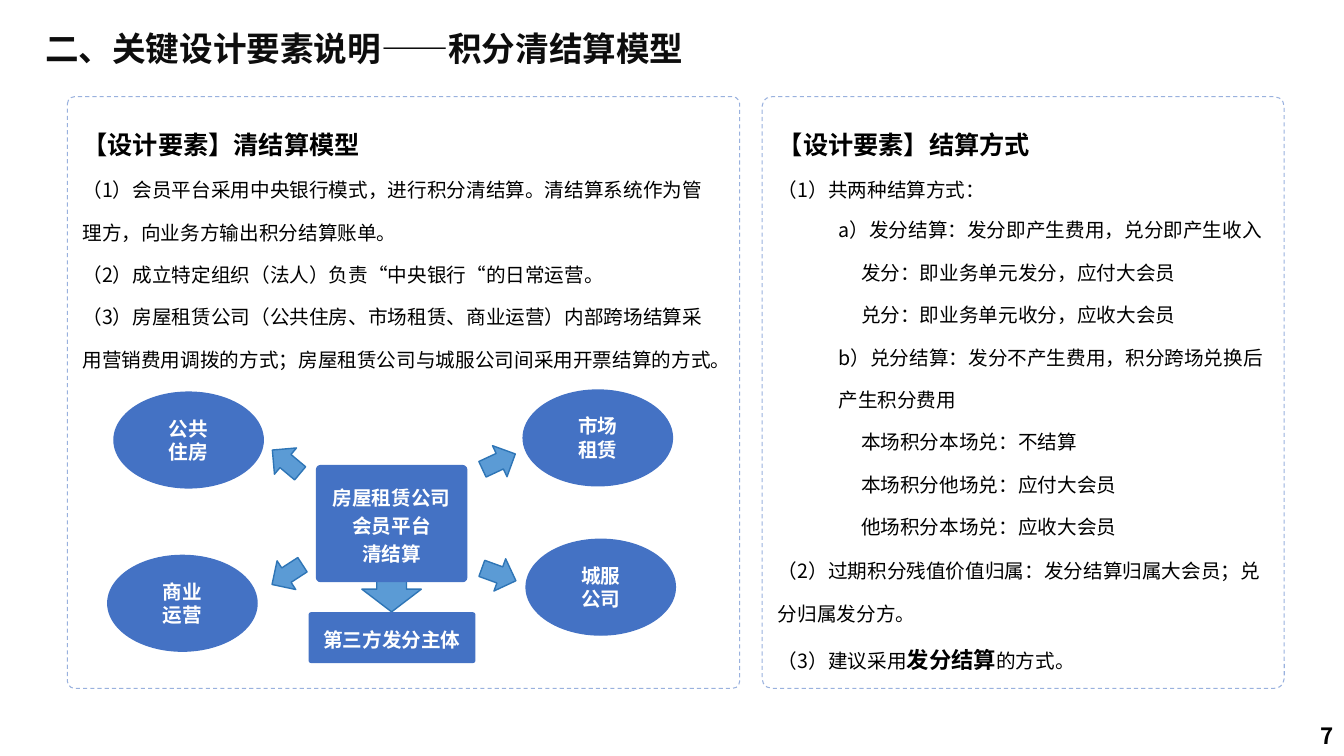
from dataclasses import dataclass

import lxml.etree
import pptx
import pptx.dml.color
import pptx.enum.dml
import pptx.enum.shapes
import pptx.enum.text
import pptx.oxml.ns
import pptx.util

Pt = pptx.util.Pt
RGBColor = pptx.dml.color.RGBColor
KIND = pptx.enum.shapes.MSO_SHAPE
ALIGN = pptx.enum.text.PP_ALIGN
ANCHOR = pptx.enum.text.MSO_ANCHOR

FONT = "Noto Sans CJK SC"
BLACK = RGBColor(0x00, 0x00, 0x00)
DARK = RGBColor(0x0D, 0x0D, 0x0D)
WHITE = RGBColor(0xFF, 0xFF, 0xFF)
BLUE = RGBColor(0x44, 0x72, 0xC4)
SKY = RGBColor(0x5B, 0x9B, 0xD5)
NAVY = RGBColor(0x2E, 0x75, 0xB6)
PALE = RGBColor(0x99, 0xB1, 0xDE)


@dataclass
class Line:
    """One paragraph; a part between stars is strong."""
    text: str
    size: float = 14
    bold: bool = False
    pitch: float = 1.8
    before: float = 0
    indent: float = 0


@dataclass
class Box:
    left: float
    top: float
    width: float
    height: float


@dataclass
class Node:
    kind: int
    box: Box
    lines: list[str]
    pitch: float = 1.0


@dataclass
class Arrow:
    box: Box
    turn: float


def head(text: str) -> Line:
    return Line(text, 18, True, 1.5)


def sub(text: str) -> Line:
    return Line(text, indent=16.2)


def oval(left: float, top: float, *lines: str) -> Node:
    return Node(KIND.OVAL, Box(left, top, 106.6, 68.4), list(lines))


def small(left: float, top: float, turn: float) -> Arrow:
    return Arrow(Box(left, top, 25.9, 24.5), turn)


def write(frame, lines: list[Line], color: RGBColor, align: int) -> None:
    frame.word_wrap = True
    frame.text = "\n".join(line.text.replace("*", "") for line in lines)
    for para, line in zip(frame.paragraphs, lines):
        para.alignment = align
        para.line_spacing = line.pitch
        if line.before:
            para.space_before = Pt(line.before)
        if line.indent:
            para._p.get_or_add_pPr().set("marL", str(Pt(line.indent)))
        parts = line.text.split("*")
        para.runs[0].text = parts[0]
        for part in parts[1:]:
            para.add_run().text = part
        for i, run in enumerate(para.runs):
            strong = i % 2 == 1
            run.font.size = Pt(16 if strong else line.size)
            run.font.bold = strong or line.bold
            run.font.color.rgb = color
            run.font.name = FONT
            east = lxml.etree.SubElement(run._r.rPr, pptx.oxml.ns.qn("a:ea"))
            east.set("typeface", FONT)


def place(box: Box) -> list[int]:
    return [Pt(v) for v in (box.left, box.top, box.width, box.height)]


def add_text(slide, box: Box, lines: list[Line], color: RGBColor = BLACK,
             align: int = ALIGN.LEFT, anchor: int = ANCHOR.TOP) -> None:
    frame = slide.shapes.add_textbox(*place(box)).text_frame
    frame.vertical_anchor = anchor
    write(frame, lines, color, align)


def add_form(slide, kind: int, box: Box, edge: RGBColor,
             fill: RGBColor | None = None, weight: float = 1):
    form = slide.shapes.add_shape(kind, *place(box))
    form.shadow.inherit = False
    if fill is None:
        form.fill.background()
    else:
        form.fill.solid()
        form.fill.fore_color.rgb = fill
    form.line.color.rgb = edge
    form.line.width = Pt(weight)
    return form


def add_panel(slide, box: Box, curve: float) -> None:
    form = add_form(slide, KIND.ROUNDED_RECTANGLE, box, PALE, weight=0.75)
    form.adjustments[0] = curve
    form.line.dash_style = pptx.enum.dml.MSO_LINE.DASH


def add_node(slide, node: Node) -> None:
    form = add_form(slide, node.kind, node.box, BLUE, BLUE)
    if node.kind == KIND.ROUNDED_RECTANGLE:
        form.adjustments[0] = 0.035
    form.text_frame.vertical_anchor = ANCHOR.MIDDLE
    lines = [Line(text, bold=True, pitch=node.pitch) for text in node.lines]
    write(form.text_frame, lines, WHITE, ALIGN.CENTER)


def add_arrow(slide, arrow: Arrow) -> None:
    form = add_form(slide, KIND.RIGHT_ARROW, arrow.box, NAVY, SKY)
    form.rotation = arrow.turn


TITLE = [Line("二、关键设计要素说明——积分清结算模型", 24, True, 1.2)]
MODEL = [
    head("【设计要素】清结算模型"),
    Line("（1）会员平台采用中央银行模式，进行积分清结算。清结算系统作为管理方，向业务方输出积分结算账单。"),
    Line("（2）成立特定组织（法人）负责“中央银行“的日常运营。"),
    Line("（3）房屋租赁公司（公共住房、市场租赁、商业运营）内部跨场结算采用营销费用调拨的方式；"
         "房屋租赁公司与城服公司间采用开票结算的方式。"),
]
MODES = [
    Line("a）发分结算：发分即产生费用，兑分即产生收入"),
    sub("发分：即业务单元发分，应付大会员"),
    sub("兑分：即业务单元收分，应收大会员"),
    Line("b）兑分结算：发分不产生费用，积分跨场兑换后产生积分费用"),
    sub("本场积分本场兑：不结算"),
    sub("本场积分他场兑：应付大会员"),
    sub("他场积分本场兑：应收大会员"),
]
# The space before point 2 leaves room for the list of modes
RULES = [
    head("【设计要素】结算方式"),
    Line("（1）共两种结算方式："),
    Line("（2）过期积分残值价值归属：发分结算归属大会员；兑分归属发分方。", before=242),
    Line("（3）建议采用*发分结算*的方式。"),
]
NODES = [
    Node(KIND.ROUNDED_RECTANGLE, Box(226.1, 332.6, 107.3, 82.8),
         ["房屋租赁公司会员平台", "清结算"], 1.2),
    oval(375.8, 385.2, "城服", "公司"),
    oval(373.7, 278.6, "市场", "租赁"),
    oval(77, 396.7, "商业", "运营"),
    oval(81.4, 280.1, "公共", "住房"),
    Node(KIND.ROUNDED_RECTANGLE, Box(221, 437.8, 118.1, 35.3),
         ["第三方发分主体"], 1.2),
]
ARROWS = [
    Arrow(Box(263.5, 399.6, 32.4, 42.5), 90),
    small(343.4, 317.5, 335),
    small(191.5, 317.5, 220),
    small(343.4, 398.2, 20),
    small(192.2, 398.2, 147),
]


def main() -> None:
    deck = pptx.Presentation()
    deck.slide_width, deck.slide_height = Pt(960), Pt(540)
    slide = deck.slides.add_slide(deck.slide_layouts[6])

    # Title and page number
    add_text(slide, Box(25.2, 3.6, 617, 55.4), TITLE, DARK, anchor=ANCHOR.MIDDLE)
    add_text(slide, Box(892.1, 511.2, 67.7, 28.8), [Line("7", 16, True, 1.0)],
             align=ALIGN.RIGHT, anchor=ANCHOR.MIDDLE)

    # Right panel
    add_text(slide, Box(591.8, 139, 324.7, 245.5), MODES)
    add_text(slide, Box(548.6, 77.8, 365.8, 348.5), RULES)
    add_panel(slide, Box(544.3, 69.1, 373, 422.6), 0.019)

    # Left panel
    add_panel(slide, Box(48.2, 69.1, 480.2, 422.6), 0.012)
    add_text(slide, Box(51.8, 77.8, 467.3, 164.2), MODEL)

    # Diagram, with the arrows behind the nodes
    for arrow in ARROWS:
        add_arrow(slide, arrow)
    for node in NODES:
        add_node(slide, node)

    deck.save("out.pptx")


if __name__ == "__main__":
    main()
